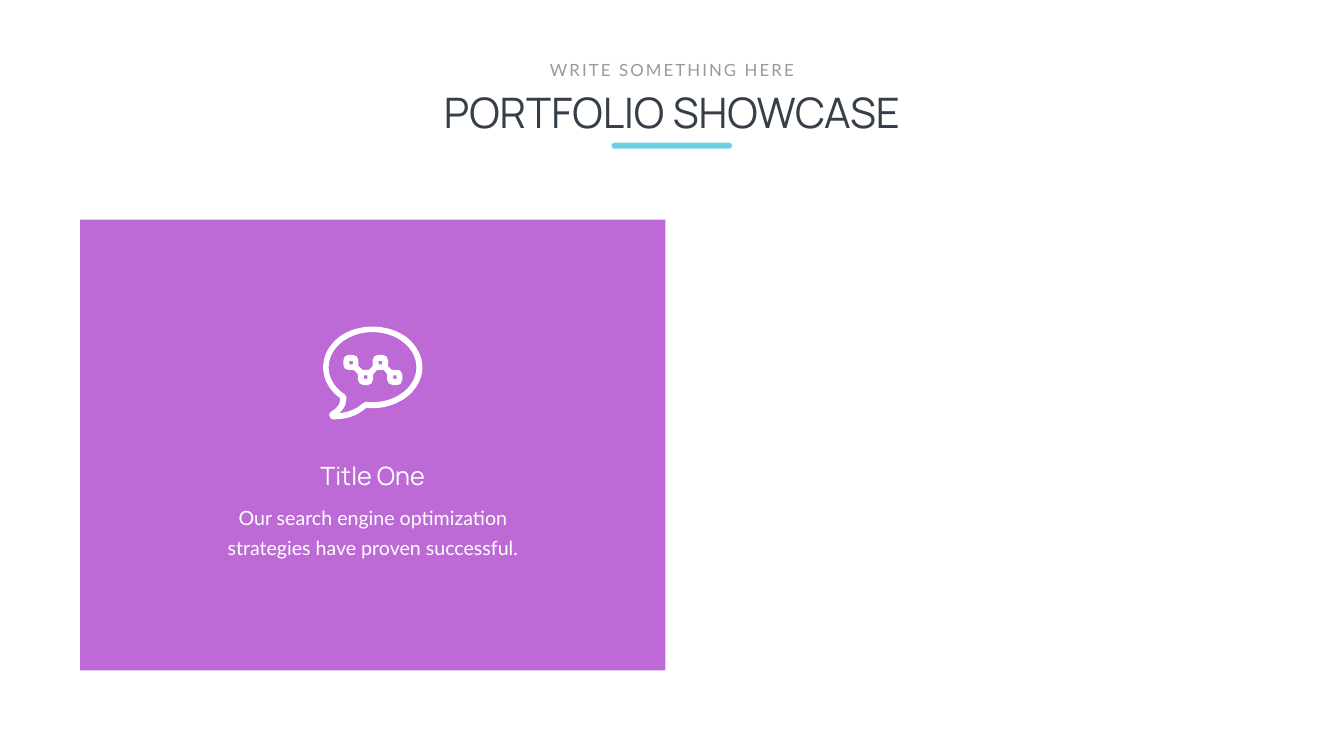
import itertools

import pptx
import pptx.dml.color
import pptx.enum.shapes
import pptx.enum.text
import pptx.oxml.ns
import pptx.util
from lxml import etree

Inches, Pt = pptx.util.Inches, pptx.util.Pt
RGBColor = pptx.dml.color.RGBColor
PRESET = pptx.enum.shapes.MSO_SHAPE
qn = pptx.oxml.ns.qn

WHITE = RGBColor(0xFF, 0xFF, 0xFF)
PURPLE = RGBColor(0xBD, 0x6A, 0xD7)
CYAN = RGBColor(0x6C, 0xD1, 0xE5)
DARK = RGBColor(0x36, 0x3E, 0x48)
GREY = RGBColor(0x99, 0x99, 0x99)

# Boxes are left, top, width, height in inches.
CARD = (1.59, 4.36, 11.61, 8.94)
UNDERLINE = (12.13, 2.83, 2.39, 0.12)
CARD_TEXTS = [
    dict(text="Title One", box=(6.18, 9.09, 2.42, 0.71), font="Manrope",
         size=36, color=WHITE, wrap=False),
    dict(text="Our search engine optimization strategies have proven successful.",
         box=(4.23, 9.79, 6.33, 1.39), font="Lato", size=28, color=WHITE,
         margins=(0.24, 0.12), line_spacing=43),
]
HEADING_TEXTS = [
    dict(text="PORTFOLIO SHOWCASE", box=(5.3, 1.67, 16.06, 1.11),
         font="Manrope", size=60, color=DARK),
    dict(text="WRITE SOMETHING HERE", box=(10.76, 1.13, 5.14, 0.5),
         font="Lato", size=24, color=GREY, wrap=False, tracking=3),
]

# Contours: a pair is a corner, six numbers are a Bezier curve.
BUBBLE_INSIDE = [
    (7.39, 7.98), (7.35, 7.98, 7.31, 7.98, 7.26, 7.97),
    (7.24, 7.97, 7.22, 7.98, 7.2, 8), (7.12, 8.07, 7.03, 8.13, 6.92, 8.16),
    (6.86, 8.18, 6.8, 8.19, 6.72, 8.2), (6.75, 8.18, 6.78, 8.15, 6.8, 8.12),
    (6.85, 8.06, 6.87, 7.99, 6.87, 7.92), (6.87, 7.9, 6.87, 7.89, 6.87, 7.87),
    (6.86, 7.85, 6.85, 7.83, 6.83, 7.82), (6.63, 7.69, 6.52, 7.49, 6.52, 7.29),
    (6.52, 6.9, 6.91, 6.59, 7.39, 6.59), (7.87, 6.59, 8.26, 6.9, 8.26, 7.29),
    (8.26, 7.67, 7.87, 7.98, 7.39, 7.98),
]
BUBBLE_OUTSIDE = [
    (8.09, 6.71), (7.9, 6.56, 7.65, 6.48, 7.39, 6.48),
    (7.13, 6.48, 6.88, 6.56, 6.7, 6.71), (6.51, 6.87, 6.41, 7.07, 6.41, 7.29),
    (6.41, 7.52, 6.53, 7.75, 6.75, 7.9), (6.75, 7.91, 6.75, 7.92, 6.75, 7.92),
    (6.75, 7.99, 6.71, 8.09, 6.58, 8.16), (6.55, 8.18, 6.53, 8.2, 6.53, 8.24),
    (6.53, 8.26, 6.54, 8.28, 6.56, 8.3), (6.57, 8.32, 6.59, 8.32, 6.62, 8.32),
    (6.82, 8.32, 7.06, 8.28, 7.27, 8.09), (7.31, 8.09, 7.35, 8.1, 7.39, 8.1),
    (7.65, 8.1, 7.9, 8.01, 8.09, 7.86), (8.27, 7.71, 8.38, 7.5, 8.38, 7.29),
    (8.38, 7.07, 8.27, 6.87, 8.09, 6.71),
]
CHART_OUTSIDE = [
    (7.87, 7.34), (7.79, 7.34), (7.78, 7.34, 7.77, 7.34, 7.77, 7.34),
    (7.69, 7.26), (7.69, 7.26, 7.7, 7.25, 7.7, 7.24), (7.7, 7.15),
    (7.7, 7.09, 7.65, 7.04, 7.59, 7.04), (7.5, 7.04),
    (7.44, 7.04, 7.39, 7.09, 7.39, 7.15), (7.39, 7.24),
    (7.39, 7.25, 7.39, 7.26, 7.4, 7.26), (7.32, 7.34),
    (7.31, 7.34, 7.31, 7.34, 7.3, 7.34), (7.21, 7.34),
    (7.2, 7.34, 7.19, 7.34, 7.19, 7.34), (7.11, 7.26),
    (7.11, 7.26, 7.11, 7.25, 7.11, 7.24), (7.11, 7.15),
    (7.11, 7.09, 7.06, 7.04, 7, 7.04), (6.91, 7.04),
    (6.86, 7.04, 6.81, 7.09, 6.81, 7.15), (6.81, 7.24),
    (6.81, 7.3, 6.86, 7.34, 6.91, 7.34), (7, 7.34),
    (7.01, 7.34, 7.02, 7.34, 7.02, 7.34), (7.1, 7.42),
    (7.1, 7.43, 7.1, 7.43, 7.1, 7.44), (7.1, 7.53),
    (7.1, 7.59, 7.15, 7.64, 7.21, 7.64), (7.3, 7.64),
    (7.35, 7.64, 7.4, 7.59, 7.4, 7.53), (7.4, 7.44),
    (7.4, 7.44, 7.4, 7.43, 7.4, 7.43), (7.48, 7.34),
    (7.49, 7.34, 7.49, 7.34, 7.5, 7.34), (7.59, 7.34),
    (7.6, 7.34, 7.6, 7.34, 7.61, 7.34), (7.68, 7.42),
    (7.68, 7.43, 7.68, 7.43, 7.68, 7.44), (7.68, 7.53),
    (7.68, 7.59, 7.73, 7.64, 7.79, 7.64), (7.87, 7.64),
    (7.94, 7.64, 7.98, 7.59, 7.98, 7.53), (7.98, 7.44),
    (7.98, 7.38, 7.94, 7.34, 7.87, 7.34),
]
NODE_HOLES = [(7.8, 7.45), (7.22, 7.45), (6.93, 7.16), (7.51, 7.16)]
HOLE_SIDE = 0.07


def square(left, top, side):
    right, bottom = left + side, top + side
    return [(left, top), (right, top), (right, bottom), (left, bottom)]


def paint(shape, color):
    shape.shadow.inherit = False
    shape.fill.solid()
    shape.fill.fore_color.rgb = color
    shape.line.fill.background()


def add_block(shapes, preset, box, color):
    block = shapes.add_shape(preset, *map(Inches, box))
    paint(block, color)
    return block


def bend(icon, steps):
    """Turn the icon's straight segments into curves where a step has handles."""
    outline = icon._element.find(".//" + qn("a:path"))
    segments = [s for s in outline if s.tag != qn("a:close")]
    for segment, step in zip(segments, steps):
        if len(step) == 2:
            continue
        segment.tag = qn("a:cubicBezTo")
        for i, (x, y) in enumerate((step[:2], step[2:4])):
            handle = etree.Element(qn("a:pt"), x=str(Inches(x) - icon.left),
                                   y=str(Inches(y) - icon.top))
            segment.insert(i, handle)


def add_icon(shapes, contours):
    first, *others = [[tuple(map(Inches, step[-2:])) for step in contour]
                      for contour in contours]
    builder = shapes.build_freeform(*first[0], scale=1.0)
    builder.add_line_segments(first[1:], close=True)
    for corners in others:
        builder.move_to(*corners[0])
        builder.add_line_segments(corners[1:], close=True)
    icon = builder.convert_to_shape()
    bend(icon, itertools.chain(*contours))
    paint(icon, WHITE)


def add_text(shapes, text, box, font, size, color, wrap=True,
             margins=(0.1, 0.05), line_spacing=None, tracking=None):
    frame = shapes.add_textbox(*map(Inches, box)).text_frame
    frame.text = text
    frame.word_wrap = wrap
    frame.auto_size = pptx.enum.text.MSO_AUTO_SIZE.SHAPE_TO_FIT_TEXT
    frame.margin_left = frame.margin_right = Inches(margins[0])
    frame.margin_top = frame.margin_bottom = Inches(margins[1])
    paragraph = frame.paragraphs[0]
    paragraph.alignment = pptx.enum.text.PP_ALIGN.CENTER
    if line_spacing:
        paragraph.line_spacing = Pt(line_spacing)
    run = paragraph.runs[0]
    run.font.name = font
    run.font.size = Pt(size)
    run.font.color.rgb = color
    if tracking:
        run._r.get_or_add_rPr().set("spc", str(tracking * 100))


def main():
    deck = pptx.Presentation()
    deck.slide_width, deck.slide_height = Inches(26.66), Inches(15)
    slide = deck.slides.add_slide(deck.slide_layouts[6])

    card = slide.shapes.add_group_shape().shapes
    add_block(card, PRESET.RECTANGLE, CARD, PURPLE)
    for entry in CARD_TEXTS:
        add_text(card, **entry)
    add_icon(card, [BUBBLE_INSIDE, BUBBLE_OUTSIDE])
    holes = [square(left, top, HOLE_SIDE) for left, top in NODE_HOLES]
    add_icon(card, holes + [CHART_OUTSIDE])

    heading = slide.shapes.add_group_shape().shapes
    for entry in HEADING_TEXTS:
        add_text(heading, **entry)

    underline = add_block(slide.shapes, PRESET.ROUNDED_RECTANGLE, UNDERLINE, CYAN)
    underline.adjustments[0] = 0.5
    deck.save("out.pptx")


if __name__ == "__main__":
    main()
